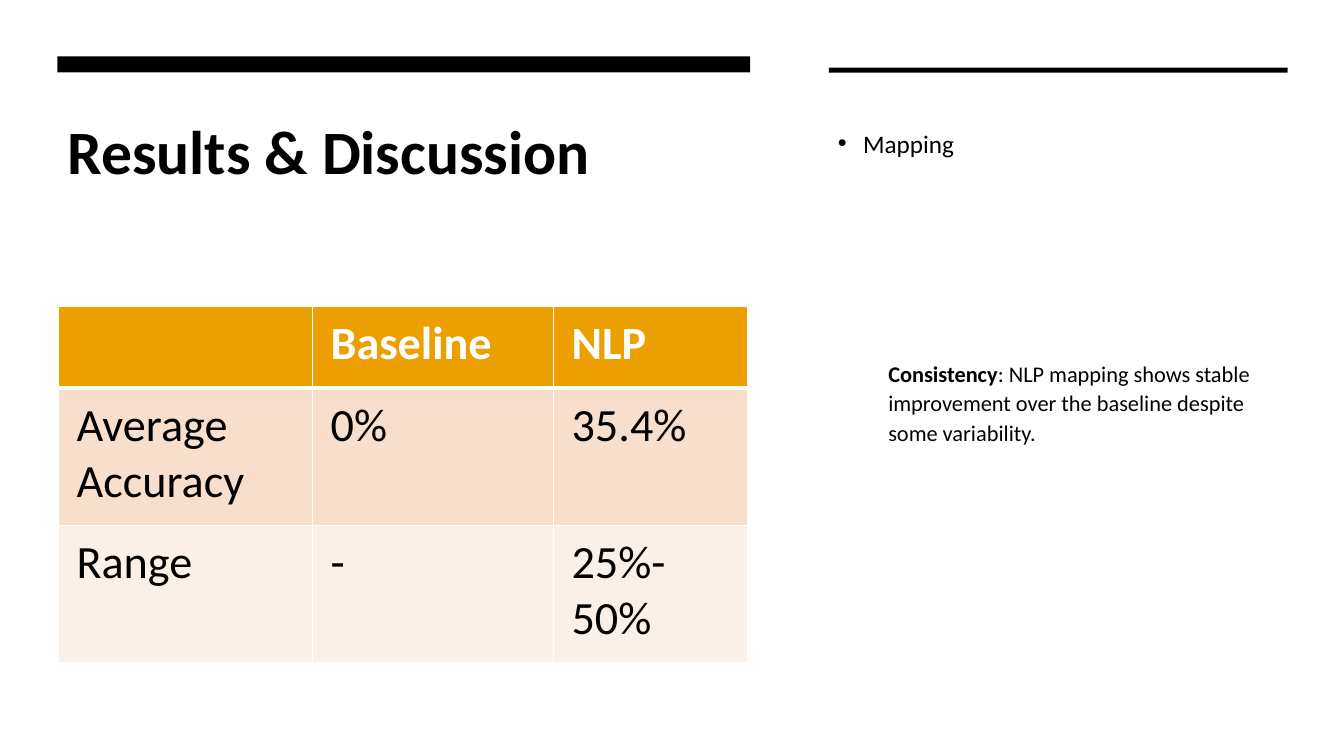
import dataclasses

import lxml.etree
import pptx
import pptx.dml.color
import pptx.enum.shapes
import pptx.enum.text
import pptx.oxml.ns
import pptx.util

PX = 9144  # EMU per px, 100 px to the inch
FONT = "Calibri"
COLOURS = {
    "black": "000000",
    "white": "FFFFFF",
    "header": "EBA000",
    "odd_row": "F7DFCC",
    "even_row": "FBF0E7",
}


@dataclasses.dataclass
class Area:
    left: int
    top: int
    width: int
    height: int

    def emu(self) -> list[int]:
        return [length * PX for length in dataclasses.astuple(self)]


@dataclasses.dataclass
class TableRow:
    height: int
    fill: str
    texts: list[str]
    top_border: int = 1
    bottom_border: int = 1
    colour: str = "black"
    bold: bool = False


RULES = [Area(57, 56, 687, 16), Area(822, 67, 455, 5)]
TITLE_AREA = Area(57, 107, 689, 145)
BODY_AREA = Area(821, 119, 455, 575)
TABLE_AREA = Area(58, 304, 684, 353)
COLUMN_WIDTHS = [252, 239, 193]
TABLE_ROWS = [
    TableRow(81, "header", ["", "Baseline", "NLP"], bottom_border=3,
             colour="white", bold=True),
    TableRow(136, "odd_row", ["Average Accuracy", "0%", "35.4%"], top_border=3),
    TableRow(136, "even_row", ["Range", "-", "25%-50%"]),
]


def rgb(name: str) -> pptx.dml.color.RGBColor:
    return pptx.dml.color.RGBColor.from_string(COLOURS[name])


def format_span(span, size: int, colour: str = "black", bold: bool = False) -> None:
    span.font.name = FONT
    span.font.size = pptx.util.Pt(size)
    span.font.bold = bold
    span.font.color.rgb = rgb(colour)


def place(shape, area: Area) -> None:
    shape.left, shape.top, shape.width, shape.height = area.emu()


def set_up_text(frame) -> None:
    frame.word_wrap = True
    frame.auto_size = pptx.enum.text.MSO_AUTO_SIZE.NONE
    frame.vertical_anchor = pptx.enum.text.MSO_ANCHOR.TOP


def set_bullet(para, left: int, indent: int, character: str = "") -> None:
    properties = para._p.get_or_add_pPr()
    properties.set("marL", str(left * PX))
    properties.set("indent", str(indent * PX))
    tag = "a:buChar" if character else "a:buNone"
    bullet = lxml.etree.SubElement(properties, pptx.oxml.ns.qn(tag))
    if character:
        bullet.set("char", character)


def add_rule(page, area: Area) -> None:
    rule = page.shapes.add_shape(pptx.enum.shapes.MSO_SHAPE.RECTANGLE, *area.emu())
    rule.shadow.inherit = False
    rule.fill.solid()
    rule.fill.fore_color.rgb = rgb("black")
    rule.line.fill.background()


def set_borders(cell, top: int, bottom: int) -> None:
    """Draw white cell borders; top and bottom are widths in points."""
    properties = cell._tc.get_or_add_tcPr()
    widths = {"a:lnL": 1, "a:lnR": 1, "a:lnT": top, "a:lnB": bottom}
    for position, (tag, width) in enumerate(widths.items()):
        border = lxml.etree.Element(pptx.oxml.ns.qn(tag), w=str(pptx.util.Pt(width)))
        fill = lxml.etree.SubElement(border, pptx.oxml.ns.qn("a:solidFill"))
        lxml.etree.SubElement(fill, pptx.oxml.ns.qn("a:srgbClr"), val=COLOURS["white"])
        properties.insert(position, border)


def fill_cell(cell, text: str, row: TableRow) -> None:
    cell.margin_left = cell.margin_right = 18 * PX
    cell.margin_top = cell.margin_bottom = 9 * PX
    cell.fill.solid()
    cell.fill.fore_color.rgb = rgb(row.fill)
    set_borders(cell, row.top_border, row.bottom_border)
    cell.text_frame.text = text
    for span in cell.text_frame.paragraphs[0].runs:
        format_span(span, 33, row.colour, row.bold)


def add_results_table(page) -> None:
    table = page.shapes.add_table(
        len(TABLE_ROWS), len(COLUMN_WIDTHS), *TABLE_AREA.emu()).table
    for column, width in zip(table.columns, COLUMN_WIDTHS):
        column.width = width * PX
    for table_row, row in zip(table.rows, TABLE_ROWS):
        table_row.height = row.height * PX
        for cell, text in zip(table_row.cells, row.texts):
            fill_cell(cell, text, row)


def write_title(title) -> None:
    place(title, TITLE_AREA)
    set_up_text(title.text_frame)
    title.text_frame.text = "Results & Discussion"
    para = title.text_frame.paragraphs[0]
    para.alignment = pptx.enum.text.PP_ALIGN.LEFT
    format_span(para.runs[0], 44, bold=True)


def write_body(body) -> None:
    place(body, BODY_AREA)
    frame = body.text_frame
    set_up_text(frame)
    frame.text = "Mapping"
    mapping = frame.paragraphs[0]
    set_bullet(mapping, 25, -25, "•")
    mapping.space_before = pptx.util.Pt(0)
    format_span(mapping.runs[0], 18)

    consistency = frame.add_paragraph()
    consistency.level = 1
    set_bullet(consistency, 50, 0)
    consistency.space_before = pptx.util.Pt(142)
    for text, bold in [
        ("Consistency", True),
        (": NLP mapping shows stable improvement over the baseline "
         "despite some variability.", False),
    ]:
        span = consistency.add_run()
        span.text = text
        format_span(span, 16, bold=bold)
    for para in frame.paragraphs:
        para.line_spacing = 1.1


def main() -> None:
    deck = pptx.Presentation()
    deck.slide_width, deck.slide_height = 1333 * PX, 750 * PX
    page = deck.slides.add_slide(deck.slide_layouts[1])
    write_title(page.shapes.title)
    write_body(page.placeholders[1])
    for area in RULES:
        add_rule(page, area)
    add_results_table(page)
    deck.save("out.pptx")


if __name__ == "__main__":
    main()
